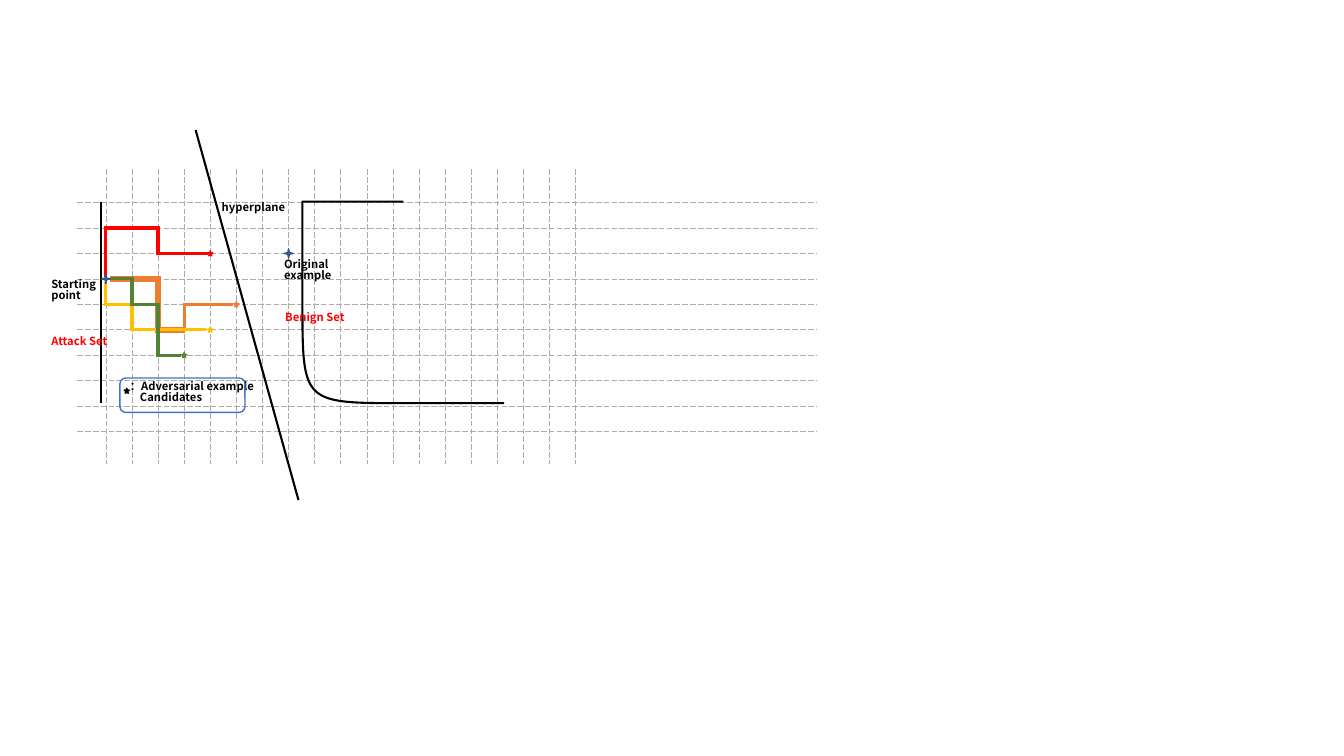
import pptx
import pptx.util
import pptx.dml.color
import pptx.enum.dml
import pptx.enum.shapes
import pptx.enum.text
import pptx.oxml.ns
import lxml.etree
import dataclasses
import itertools

Inches = pptx.util.Inches
Pt = pptx.util.Pt
SHAPES = pptx.enum.shapes.MSO_SHAPE
qn = pptx.oxml.ns.qn


@dataclasses.dataclass(frozen=True)
class Theme:
    font: str = "Noto Sans CJK SC"
    text_size: float = 8
    line_spacing: float = 0.8
    ink: str = "000000"
    grid: str = "AFABAB"
    red: str = "FF0000"
    orange: str = "ED7D31"
    yellow: str = "FFC000"
    green: str = "548235"
    light_green: str = "70AD47"
    blue: str = "4472C4"
    dark_blue: str = "325491"
    hairline: float = 0.5
    outline: float = 1
    boundary: float = 1.5
    route: float = 2.25
    thick_route: float = 4.5


class Diagram:
    """Lengths are columns and rows of the lattice, in inches where noted."""
    LEFT, RIGHT, COLUMNS = 1.05, 5.71, 19
    TOP, BOTTOM, ROWS = 2.01, 4.28, 10

    def __init__(self, slide, theme):
        self.shapes = slide.shapes
        self.theme = theme

    def x(self, column):
        return Inches(self.LEFT + column * (self.RIGHT - self.LEFT) / (self.COLUMNS - 1))

    def y(self, row):
        return Inches(self.TOP + row * (self.BOTTOM - self.TOP) / (self.ROWS - 1))

    def stroke(self, line, color, width):
        line.color.rgb = pptx.dml.color.RGBColor.from_string(color)
        line.width = Pt(width)

    def line(self, start, end, color, width, dashed=False, square=False):
        connector = self.shapes.add_connector(
            pptx.enum.shapes.MSO_CONNECTOR.STRAIGHT,
            self.x(start[0]), self.y(start[1]), self.x(end[0]), self.y(end[1]))
        self.stroke(connector.line, color, width)
        if dashed:
            connector.line.dash_style = pptx.enum.dml.MSO_LINE.LONG_DASH
        properties = connector._element.spPr
        if square:
            properties.find(qn("a:ln")).set("cap", "sq")
        lxml.etree.SubElement(properties, qn("a:effectLst"))

    def route(self, nodes, color, width):
        for start, end in itertools.pairwise(nodes):
            self.line(start, end, color, width, square=True)

    def curve(self, points):
        """Cubic curve in inches: a start, then three points a segment."""
        builder = self.shapes.build_freeform(*points[0], scale=Inches(1))
        builder.add_line_segments(points[1:], close=False)
        outline = builder.convert_to_shape()
        outline.shadow.inherit = False
        outline.fill.background()
        self.stroke(outline.line, self.theme.ink, self.theme.boundary)
        steps = list(outline._element.iter(qn("a:lnTo")))
        for first in range(0, len(steps), 3):
            bend = lxml.etree.SubElement(steps[first].getparent(), qn("a:cubicBezTo"))
            for step in steps[first:first + 3]:
                bend.append(step[0])
                step.getparent().remove(step)

    def marker(self, kind, column, row, size, fill, edge):
        side = Inches(size)
        star = self.shapes.add_shape(
            kind, self.x(column) - side // 2, self.y(row) - side // 2, side, side)
        star.shadow.inherit = False
        star.fill.solid()
        star.fill.fore_color.rgb = pptx.dml.color.RGBColor.from_string(fill)
        self.stroke(star.line, edge, self.theme.outline)

    def frame(self, column, row, columns, rows):
        left, top = self.x(column), self.y(row)
        border = self.shapes.add_shape(
            SHAPES.ROUNDED_RECTANGLE, left, top,
            self.x(column + columns) - left, self.y(row + rows) - top)
        border.shadow.inherit = False
        border.fill.background()
        self.stroke(border.line, self.theme.blue, self.theme.outline)

    def label(self, text, column, row, columns, color, last_indent=0):
        left, top = self.x(column), self.y(row)
        height = Inches(0.24 + 0.13 * text.count("\n"))
        frame = self.shapes.add_textbox(
            left, top, self.x(column + columns) - left, height).text_frame
        frame.word_wrap = True
        frame.text = text
        for paragraph in frame.paragraphs:
            paragraph.line_spacing = self.theme.line_spacing
            for run in paragraph.runs:
                run.font.size = Pt(self.theme.text_size)
                run.font.bold = True
                run.font.name = self.theme.font
                run.font.color.rgb = pptx.dml.color.RGBColor.from_string(color)
                east_asian = lxml.etree.SubElement(run.font._element, qn("a:ea"))
                east_asian.set("typeface", self.theme.font)
        if last_indent:
            frame.paragraphs[-1]._p.get_or_add_pPr().set("marL", str(Inches(last_indent)))


presentation = pptx.Presentation()
presentation.slide_width, presentation.slide_height = Inches(13.33), Inches(7.5)
theme = Theme()
diagram = Diagram(presentation.slides.add_slide(presentation.slide_layouts[6]), theme)

# Dashed lattice
for row in range(Diagram.ROWS):
    diagram.line((-1.1, row), (27.24, row), theme.grid, theme.hairline, dashed=True)
for column in range(Diagram.COLUMNS):
    diagram.line((column, -1.31), (column, 10.27), theme.grid, theme.hairline, dashed=True)

# Set boundaries and the hyperplane between them
diagram.curve([(0.68, 2.12), (0.98, 2.33), (1.27, 2.54), (1.27, 2.92),
               (1.27, 3.31), (0.98, 3.86), (0.68, 4.41)])
diagram.curve([(4.49, 1.68), (3.91, 1.78), (3.34, 1.87), (3.03, 2.12),
               (2.72, 2.38), (2.54, 2.86), (2.63, 3.21),
               (2.73, 3.57), (3.27, 4.05), (3.61, 4.25),
               (3.95, 4.45), (4.31, 4.44), (4.67, 4.42)])
diagram.line((3.44, -2.85), (7.38, 11.7), theme.ink, theme.boundary)

# Search routes from the starting point
ROUTES = [
    (theme.orange, theme.thick_route, [(0.27, 3), (2, 3), (2, 5), (2.92, 5)]),
    (theme.orange, theme.route, [(3, 5), (3, 4), (4.8, 4)]),
    (theme.red, theme.route, [(0, 2.87), (0, 1), (2, 1), (2, 2), (3.84, 2)]),
    (theme.yellow, theme.route, [(0, 3.2), (0, 4), (1, 4), (1, 5), (3.76, 5)]),
    (theme.green, theme.route, [(0.26, 3), (1, 3), (1, 4), (2, 4), (2, 6), (2.8, 6)]),
]
for color, width, nodes in ROUTES:
    diagram.route(nodes, color, width)

# Adversarial candidates, with the legend's star last
CANDIDATES = [
    (5, 4, theme.orange, theme.orange),
    (3, 6, theme.light_green, theme.green),
    (4, 5, theme.yellow, theme.yellow),
    (4, 2, theme.red, theme.red),
    (0.8, 7.4, theme.ink, theme.ink),
]
for column, row, fill, edge in CANDIDATES:
    diagram.marker(SHAPES.STAR_5_POINT, column, row, 0.05, fill, edge)

# Starting point and original example
for column, row in [(0, 3), (7, 2)]:
    diagram.marker(SHAPES.STAR_4_POINT, column, row, 0.09, theme.blue, theme.dark_blue)

# Labels and legend
diagram.label("Starting\npoint", -2.47, 2.85, 2.86, theme.ink)
diagram.label("Original\nexample", 6.45, 2.06, 4.83, theme.ink)
diagram.label("hyperplane", 4.06, -0.2, 4.83, theme.ink)
diagram.label("Benign Set", 6.49, 4.16, 4.83, theme.red)
diagram.label("Attack Set", -2.47, 5.08, 4.83, theme.red)
diagram.label("：Adversarial example\nCandidates", 0.54, 6.86, 6.1, theme.ink, last_indent=0.1)
diagram.frame(0.54, 6.9, 4.79, 1.35)

presentation.save("out.pptx")
